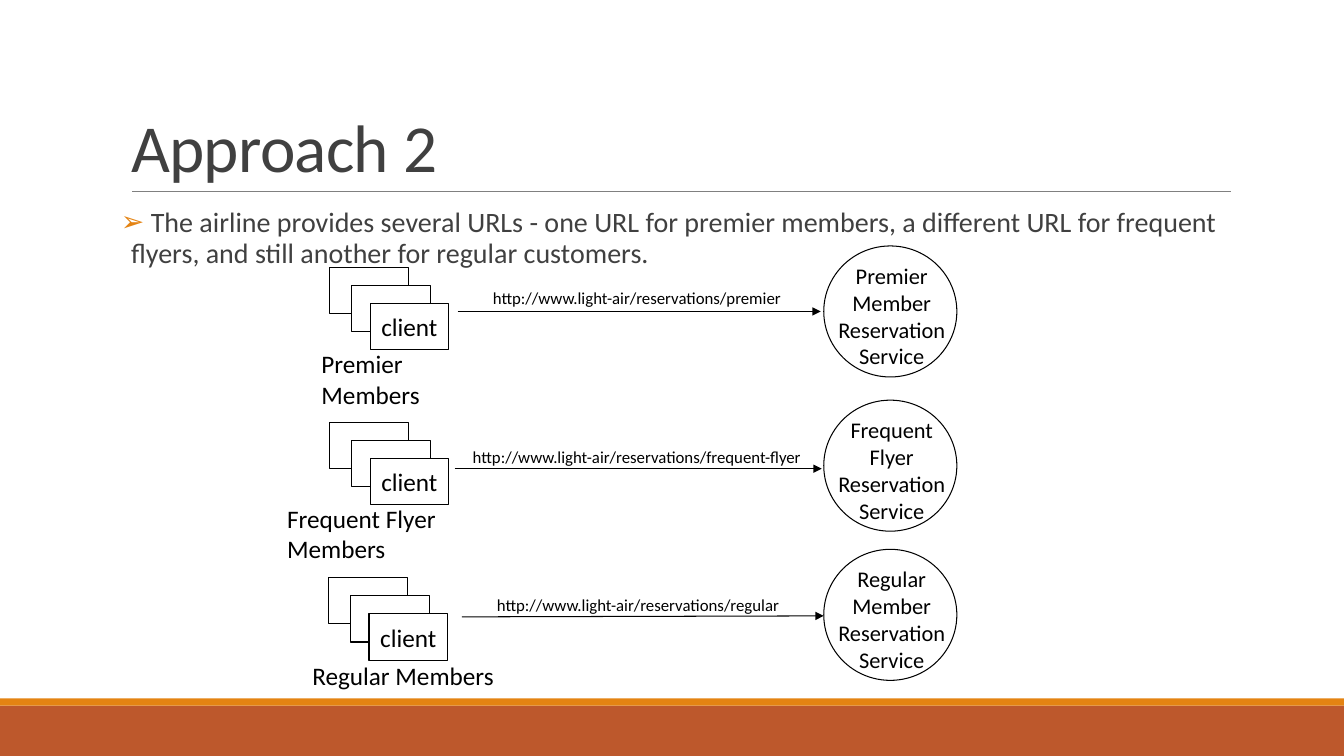
"""Builds the "Approach 2" slide: three client groups, each with its own service URL."""
from lxml import etree
from pptx import Presentation
from pptx.dml.color import RGBColor
from pptx.enum.shapes import MSO_CONNECTOR, MSO_SHAPE
from pptx.enum.text import MSO_ANCHOR, MSO_AUTO_SIZE, PP_ALIGN
from pptx.oxml.ns import qn
from pptx.util import Pt

RECTANGLE, OVAL = MSO_SHAPE.RECTANGLE, MSO_SHAPE.OVAL
STRAIGHT = MSO_CONNECTOR.STRAIGHT
LEFT, CENTER = PP_ALIGN.LEFT, PP_ALIGN.CENTER
TOP, MIDDLE, BOTTOM = MSO_ANCHOR.TOP, MSO_ANCHOR.MIDDLE, MSO_ANCHOR.BOTTOM
NO_AUTOFIT = MSO_AUTO_SIZE.NONE

BLACK = RGBColor(0x00, 0x00, 0x00)
WHITE = RGBColor(0xFF, 0xFF, 0xFF)
INK = RGBColor(0x40, 0x40, 0x40)
GRAY = RGBColor(0x80, 0x80, 0x80)
ORANGE = RGBColor(0xE4, 0x83, 0x12)
RUST = RGBColor(0xBD, 0x58, 0x2C)
FONT = "Calibri"
EMU_PER_PX = 9144

TITLE = "Approach 2"
STATEMENT = (" The airline provides several URLs - one URL for premier members, "
             "a different URL for frequent flyers, and still another for regular customers.")
BANDS = [((0, 700, 1333, 50), RUST), ((0, 693, 1333, 7), ORANGE)]
ROUTES = [
    {"members": "Premier Members", "members_box": (309, 341, 200, 40), "right_inset": 50,
     "clients_at": (327, 265), "arrow": (454, 309, 814, 309),
     "url": "http://www.light-air/reservations/premier", "url_box": (479, 281, 316, 30),
     "service": "Premier\nMember\nReservation\nService", "service_top": 244},
    {"members": "Frequent Flyer Members", "members_box": (275, 494, 269, 40), "right_inset": 50,
     "clients_at": (327, 419), "arrow": (451, 465, 815, 465),
     "url": "http://www.light-air/reservations/frequent-flyer", "url_box": (459, 438, 350, 30),
     "service": "Frequent\nFlyer\nReservation\nService", "service_top": 397},
    {"members": "Regular Members", "members_box": (300, 650, 200, 40), "right_inset": 0,
     "clients_at": (326, 573), "arrow": (458, 612, 817, 611),
     "url": "http://www.light-air/reservations/regular", "url_box": (483, 585, 304, 30),
     "service": "Regular\nMember\nReservation\nService", "service_top": 545},
]
CLIENT_OFFSETS = [(0, 0, ""), (22, 18, ""), (40, 36, "client")]
CLIENT_SIZE = (78, 46)
SERVICE_LEFT, SERVICE_SIZE = 817, (132, 130)


def emu(lengths):
    return [length * EMU_PER_PX for length in lengths]


def write(holder, text, size, color=BLACK, align=LEFT, anchor=TOP, insets=(10, 5, 10, 5)):
    frame = holder.text_frame
    frame.text = text
    frame.word_wrap = True
    frame.auto_size = NO_AUTOFIT
    frame.vertical_anchor = anchor
    (frame.margin_left, frame.margin_top,
     frame.margin_right, frame.margin_bottom) = emu(insets)
    for paragraph in frame.paragraphs:
        paragraph.alignment = align
        for run in paragraph.runs:
            run.font.name = FONT
            run.font.size = Pt(size)
            run.font.color.rgb = color
    return frame.paragraphs[0]


def place(placeholder, box):
    (placeholder.left, placeholder.top,
     placeholder.width, placeholder.height) = emu(box)


def add_block(slide, kind, box, fill=None, line=None):
    block = slide.shapes.add_shape(kind, *emu(box))
    block.shadow.inherit = False
    if fill is None:
        block.fill.background()
    else:
        block.fill.solid()
        block.fill.fore_color.rgb = fill
    if line is None:
        block.line.fill.background()
    else:
        block.line.color.rgb = line
        block.line.width = Pt(0.75)
    return block


def add_line(slide, ends, color, width, arrow=False):
    rule = slide.shapes.add_connector(STRAIGHT, *emu(ends))
    rule.line.color.rgb = color
    rule.line.width = Pt(width)
    if arrow:
        etree.SubElement(rule.line._get_or_add_ln(), qn("a:tailEnd"), type="triangle")
    etree.SubElement(rule._element.spPr, qn("a:effectLst"))


def add_note(slide, box, text, size, **style):
    write(slide.shapes.add_textbox(*emu(box)), text, size, **style)


def add_heading(slide):
    title, statement = slide.placeholders
    place(title, (120, 31, 1100, 159))
    heading = write(title, TITLE, 48, INK, anchor=BOTTOM)
    heading.line_spacing = 0.85
    heading.runs[0].font._element.set("spc", "-50")

    place(statement, (120, 202, 1100, 440))
    item = write(statement, STATEMENT, 20, INK, insets=(0, 5, 0, 5))
    item.line_spacing = 0.9
    item.space_before, item.space_after = Pt(12), Pt(2)
    properties = item._p.get_or_add_pPr()
    properties.set("marL", str(10 * EMU_PER_PX))
    properties.set("indent", str(-10 * EMU_PER_PX))
    bullet_color = etree.SubElement(properties, qn("a:buClr"))
    etree.SubElement(bullet_color, qn("a:srgbClr"), val=str(ORANGE))
    etree.SubElement(properties, qn("a:buFont"), typeface=FONT)
    etree.SubElement(properties, qn("a:buChar"), char="➢")


def add_route(slide, route):
    add_note(slide, route["members_box"], route["members"], 18,
             insets=(10, 5, route["right_inset"], 5))
    add_line(slide, route["arrow"], BLACK, 0.75, arrow=True)
    left, top = route["clients_at"]
    for across, down, name in CLIENT_OFFSETS:
        client = add_block(slide, RECTANGLE, (left + across, top + down, *CLIENT_SIZE),
                           WHITE, BLACK)
        if name:
            write(client, name, 18, align=CENTER, anchor=MIDDLE, insets=(0, 0, 0, 0))
    add_note(slide, route["url_box"], route["url"], 12)
    service_top = route["service_top"]
    add_block(slide, OVAL, (SERVICE_LEFT, service_top, *SERVICE_SIZE), line=BLACK)
    add_note(slide, (SERVICE_LEFT + 4, service_top + 11, 127, 117), route["service"], 16,
             align=CENTER, insets=(0, 5, 0, 5))


def main():
    deck = Presentation()
    deck.slide_width, deck.slide_height = emu((1333, 750))
    slide = deck.slides.add_slide(deck.slide_layouts[1])
    for box, color in BANDS:
        add_block(slide, RECTANGLE, box, color)
    add_line(slide, (131, 190, 1221, 190), GRAY, 0.5)
    add_heading(slide)
    for route in ROUTES:
        add_route(slide, route)
    deck.save("out.pptx")


if __name__ == "__main__":
    main()
